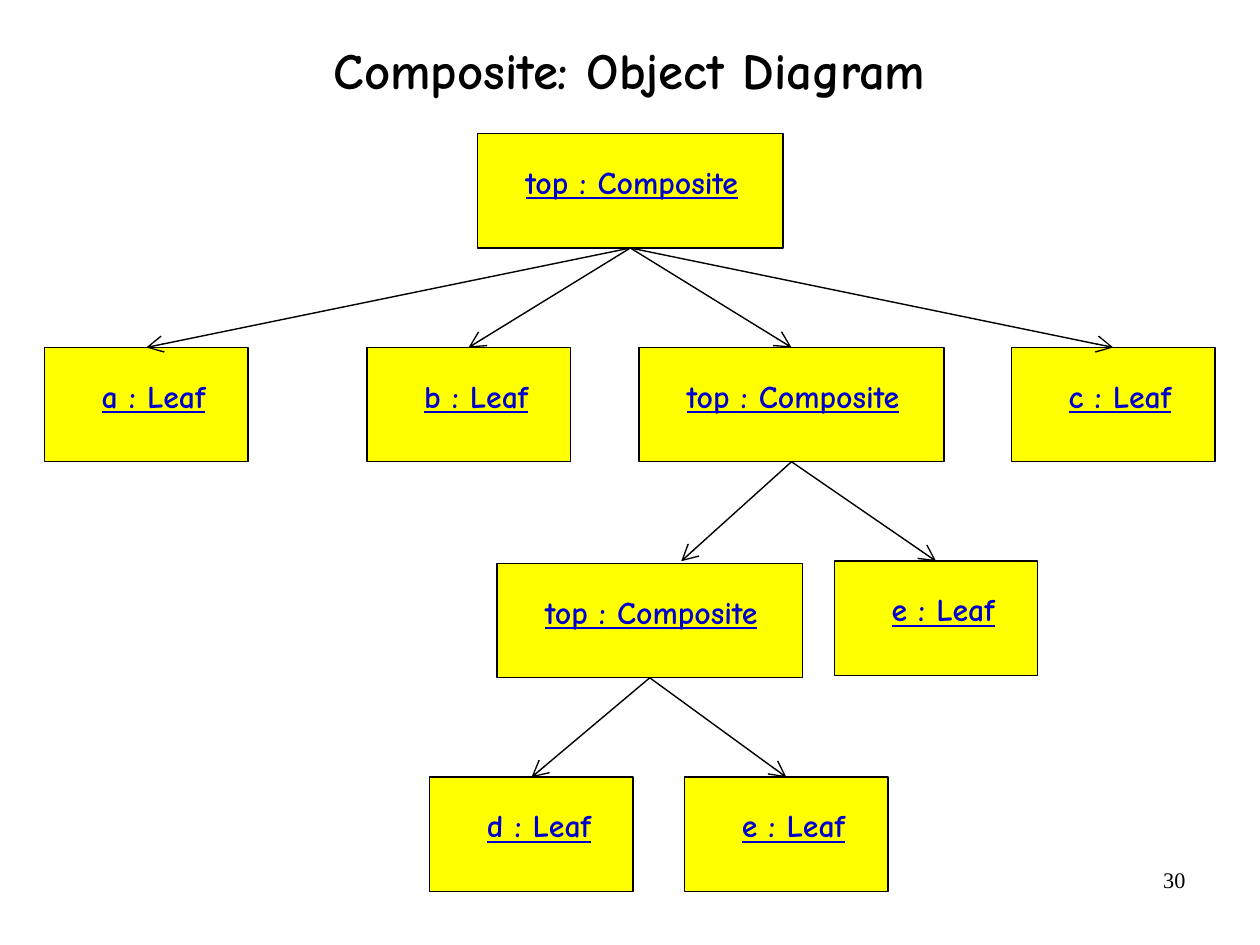
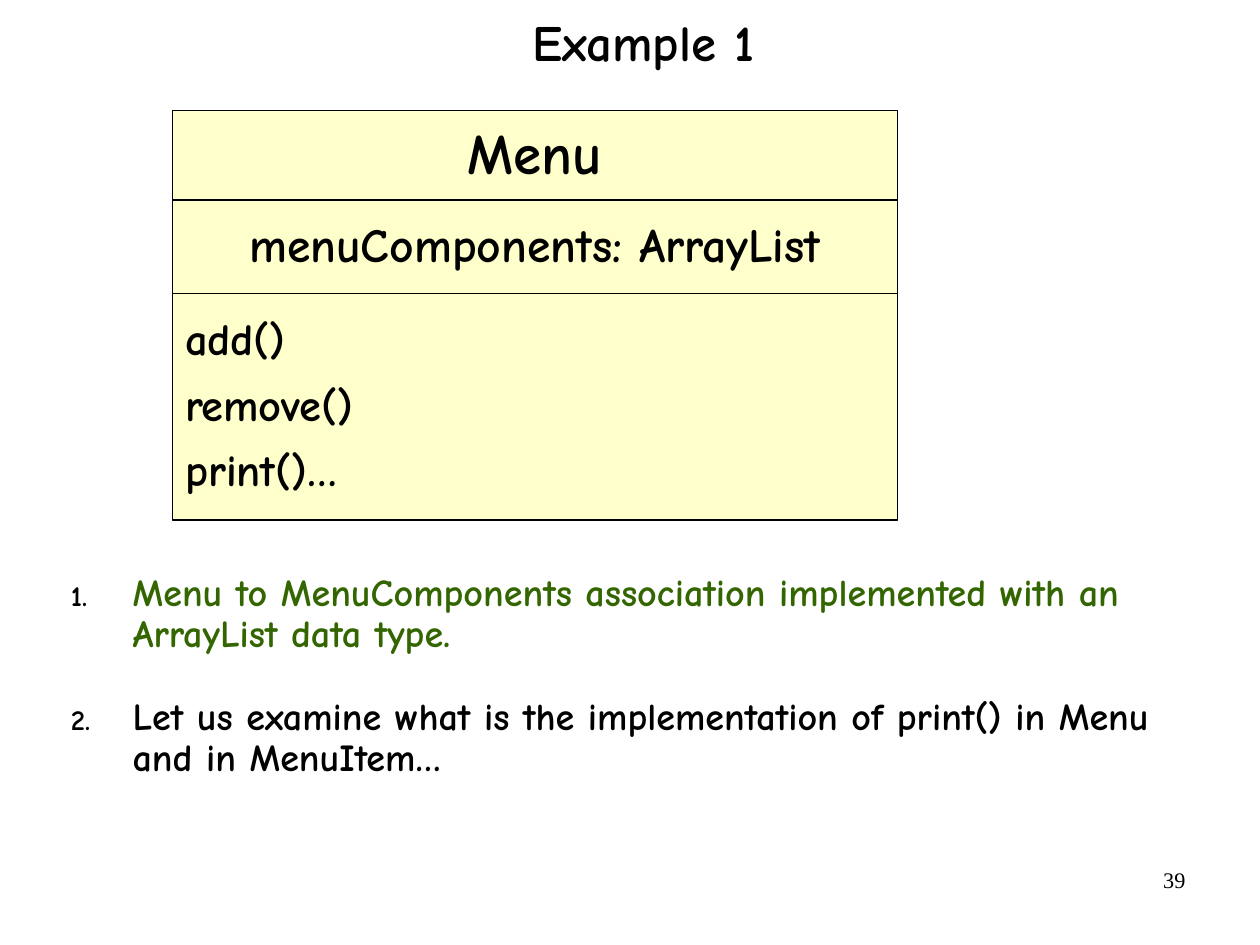
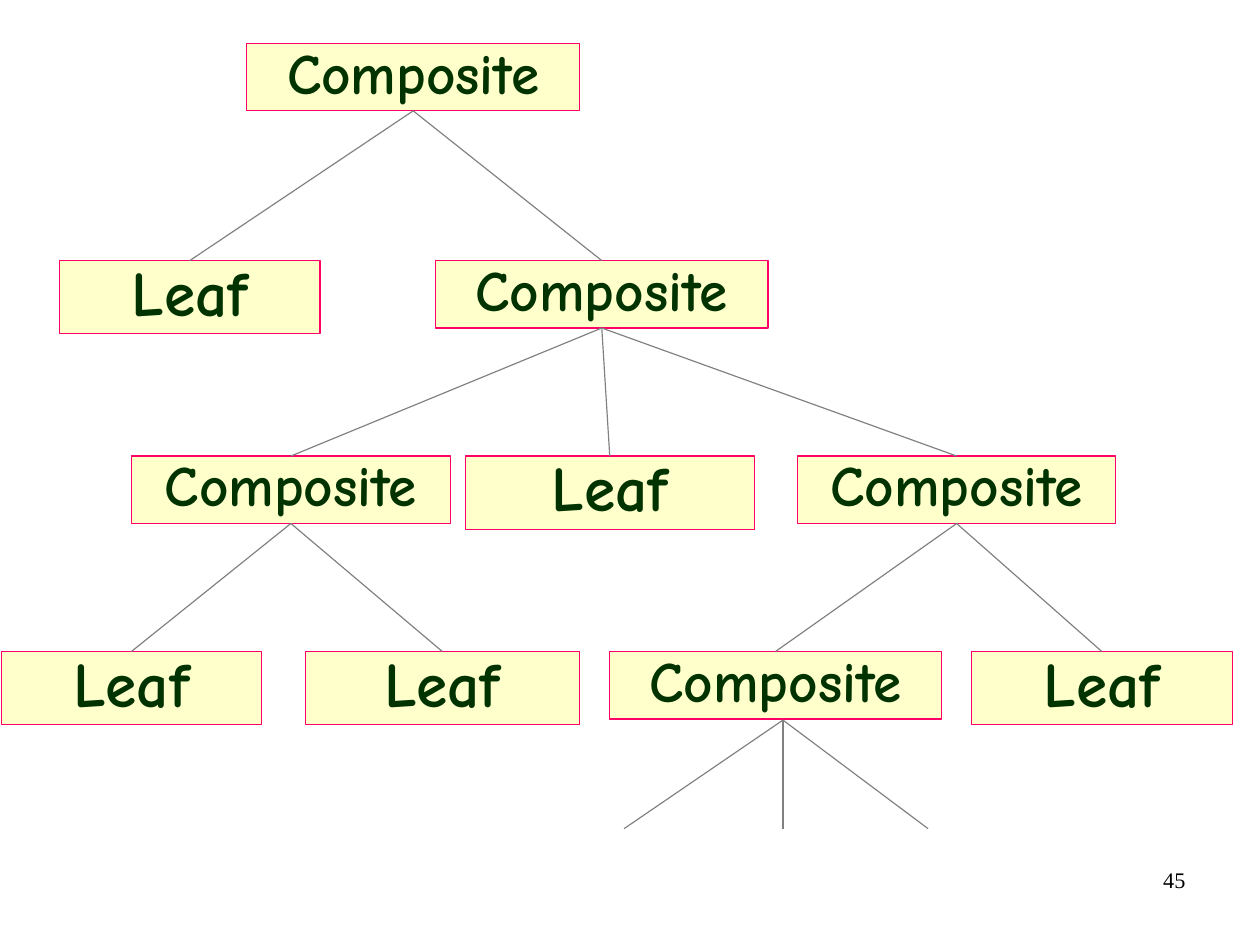
from dataclasses import dataclass

from lxml.etree import SubElement
from pptx import Presentation
from pptx.dml.color import RGBColor
from pptx.enum.shapes import MSO_CONNECTOR, MSO_SHAPE
from pptx.enum.text import MSO_ANCHOR, PP_ALIGN
from pptx.oxml.ns import qn
from pptx.util import Cm, Inches, Pt


@dataclass(frozen=True)
class Theme:
    font: str = "Comic Neue"
    number_font: str = "Times New Roman"
    black: str = "000000"
    yellow: str = "FFFF00"
    cream: str = "FFFFCC"
    blue: str = "0000CC"
    pink: str = "FF0066"
    grey: str = "808080"
    green: str = "336600"
    dark_green: str = "003300"
    title: int = 32
    number: int = 14
    object_label: int = 20
    point: int = 24
    method: int = 28
    attribute: int = 30
    class_name: int = 36
    leaf: int = 40
    thin: float = 0.75
    medium: float = 0.88


T = Theme()
PAD = (0.11, 0.06, 0.11, 0.06)


def add_text(s, at, lines, size, font=T.font, colors=(T.black,), bold=True,
             underline=False, align=PP_ALIGN.LEFT, anchor=MSO_ANCHOR.TOP,
             insets=PAD, spacing=0.9, before=0, after=0, numbered=False,
             fill=None, line=None, weight=T.thin):
    """Add a text box, or a rectangle when a fill is given."""
    pos = [Inches(v) for v in at]
    if fill:
        sp = s.shapes.add_shape(MSO_SHAPE.RECTANGLE, *pos)
        sp.shadow.inherit = False
        sp.fill.solid()
        sp.fill.fore_color.rgb = RGBColor.from_string(fill)
        sp.line.color.rgb = RGBColor.from_string(line)
        sp.line.width = Pt(weight)
    else:
        sp = s.shapes.add_textbox(*pos)
    tf = sp.text_frame
    tf.word_wrap = True
    tf.vertical_anchor = anchor
    tf.margin_left, tf.margin_top, tf.margin_right, tf.margin_bottom = map(Inches, insets)
    for i, text in enumerate(lines):
        p = tf.add_paragraph() if i else tf.paragraphs[0]
        if numbered:
            pPr = p._p.get_or_add_pPr()
            pPr.set("marL", str(Inches(0.54)))
            pPr.set("indent", str(-Inches(0.54)))
            SubElement(SubElement(pPr, qn("a:buClr")), qn("a:srgbClr"), val=T.black)
            SubElement(pPr, qn("a:buSzPct"), val="75000")
            SubElement(pPr, qn("a:buAutoNum"), type="arabicPeriod")
        p.alignment = align
        p.line_spacing = spacing
        p.space_before = Pt(before if i else 0)
        p.space_after = Pt(after)
        r = p.add_run()
        r.text = text
        r.font.name = font
        r.font.size = Pt(size)
        r.font.bold = bold
        r.font.underline = underline
        r.font.color.rgb = RGBColor.from_string(colors[i % len(colors)])
    return sp


prs = Presentation()
prs.slide_width, prs.slide_height = Cm(28), Cm(21)

# Slides with their titles and page numbers
pages = [
    (30, "Composite: Object Diagram", (0.55, 0.33, 9.92, 0.55), MSO_ANCHOR.BOTTOM),
    (39, "Example 1", (0.93, 0, 9.4, 0.8), MSO_ANCHOR.MIDDLE),
    (45, None, None, None),
]
slides = []
for number, title, at, anchor in pages:
    s = prs.slides.add_slide(prs.slide_layouts[6])
    slides.append(s)
    add_text(s, (7.9, 7.53, 2.57, 0.57), [str(number)], T.number, font=T.number_font,
             bold=False, align=PP_ALIGN.RIGHT, insets=(0.1, 0.05, 0.1, 0.05), spacing=1.0)
    if title:
        add_text(s, at, [title], T.title, align=PP_ALIGN.CENTER, anchor=anchor,
                 insets=(0, 0, 0, 0), spacing=0.88)
object_slide, class_slide, tree_slide = slides

# Object diagram: boxes
objects = {
    "top": ("top : Composite", 4.18, 1.17),
    "a": ("a : Leaf", 0.39, 3.04),
    "b": ("b : Leaf", 3.21, 3.04),
    "middle": ("top : Composite", 5.59, 3.04),
    "c": ("c : Leaf", 8.85, 3.04),
    "low": ("top : Composite", 4.35, 4.93),
    "e": ("e : Leaf", 7.3, 4.91),
    "d": ("d : Leaf", 3.76, 6.8),
    "low e": ("e : Leaf", 5.99, 6.8),
}
object_boxes = {}
for key, (label, x, y) in objects.items():
    w, indent = (2.67, 0.42) if "Composite" in label else (1.78, 0.5)
    object_boxes[key] = add_text(
        object_slide, (x, y, w, 1), [label], T.object_label, colors=(T.blue,),
        underline=True, insets=(indent, 0.29, 0, 0),
        fill=T.yellow, line=T.black, weight=T.medium)

# Class box: name, attribute and methods
compartments = [
    (0.97, 0.79, ["Menu"], T.class_name, PP_ALIGN.CENTER),
    (1.75, 0.82, ["menuComponents: ArrayList"], T.attribute, PP_ALIGN.CENTER),
    (2.57, 1.98, ["add()", "remove()", "print()…"], T.method, PP_ALIGN.LEFT),
]
for y, h, lines, size, align in compartments:
    add_text(class_slide, (1.51, y, 6.34, h), lines, size, align=align,
             anchor=MSO_ANCHOR.MIDDLE, after=10.9, fill=T.cream, line=T.black)

# Numbered points
add_text(class_slide, (0.51, 4.96, 9.82, 1.91), [
    "Menu to MenuComponents association implemented with an ArrayList data type.",
    "Let us examine what is the implementation of print() in Menu and in MenuItem…",
], T.point, colors=(T.green, T.black), before=15, after=10.9, numbered=True)

# Composite tree: boxes
nodes = {
    "root": ("Composite", 2.16, 0.38, 2.91),
    "leaf 1": ("Leaf", 0.52, 2.28, 2.28),
    "branch": ("Composite", 3.81, 2.28, 2.91),
    "left": ("Composite", 1.15, 3.99, 2.79),
    "leaf 2": ("Leaf", 4.07, 3.99, 2.53),
    "right": ("Composite", 6.98, 3.99, 2.78),
    "leaf 3": ("Leaf", 0.01, 5.7, 2.28),
    "leaf 4": ("Leaf", 2.67, 5.7, 2.4),
    "last": ("Composite", 5.33, 5.7, 2.91),
    "leaf 5": ("Leaf", 8.5, 5.7, 2.28),
}
tree_boxes = {}
for key, (label, x, y, w) in nodes.items():
    h, size = (0.64, T.leaf) if label == "Leaf" else (0.59, T.class_name)
    tree_boxes[key] = add_text(
        tree_slide, (x, y, w, h), [label], size, colors=(T.dark_green,),
        align=PP_ALIGN.CENTER, spacing=0.8, fill=T.cream, line=T.pink)

# Links from parent to children; either end is a box or a free point
object_links = {
    "top": ["a", "b", "middle", "c"],
    "middle": [(5.96, 4.91), "e"],
    "low": ["d", "low e"],
}
tree_links = {
    "root": ["leaf 1", "branch"],
    "branch": ["left", "leaf 2", "right"],
    "left": ["leaf 3", "leaf 4"],
    "right": ["last", "leaf 5"],
    (6.85, 6.3): [(5.46, 7.25), (6.85, 7.25), (8.12, 7.25)],
}
for s, boxes, links, color, weight, arrow in [
    (object_slide, object_boxes, object_links, T.black, T.medium, True),
    (tree_slide, tree_boxes, tree_links, T.grey, T.thin, False),
]:
    for parent, children in links.items():
        for child in children:
            start, end = [(0, 0) if n in boxes else n for n in (parent, child)]
            cx = s.shapes.add_connector(MSO_CONNECTOR.STRAIGHT, *map(Inches, start + end))
            if parent in boxes:
                cx.begin_connect(boxes[parent], 2)
            if child in boxes:
                cx.end_connect(boxes[child], 0)
            cx.line.color.rgb = RGBColor.from_string(color)
            cx.line.width = Pt(weight)
            if arrow:
                SubElement(cx.line._get_or_add_ln(), qn("a:tailEnd"),
                           type="arrow", w="lg", len="lg")
            SubElement(cx._element.spPr, qn("a:effectLst"))

prs.save("out.pptx")
